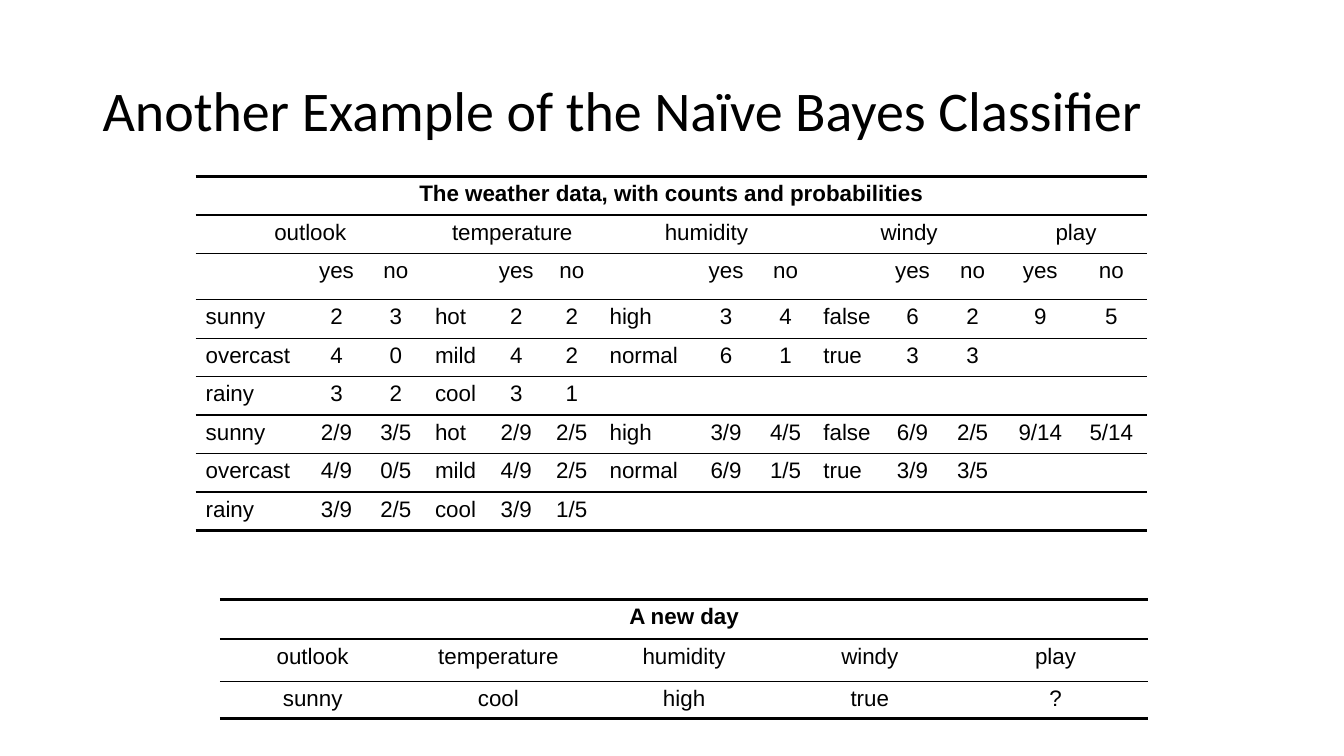
"""Build the slide with the weather tables of the naïve Bayes classifier."""
from dataclasses import dataclass

from lxml.etree import SubElement
from pptx import Presentation
from pptx.dml.color import RGBColor
from pptx.enum.text import MSO_ANCHOR, PP_ALIGN
from pptx.oxml.ns import qn
from pptx.util import Cm, Pt

COLORS = {"ink": "000000"}
INK = RGBColor.from_string(COLORS["ink"])
PLAIN_STYLE = "{2D5ABB26-0587-4C30-8999-92F81FD0307C}"
THIN, THICK = 1, 2.25
TEXT_SIZE = 16


@dataclass
class Row:
    cells: str
    height: float = 0.97
    spans: tuple = ()
    bold: bool = False
    top: float = THIN
    bottom: float = THIN


@dataclass
class Grid:
    left: float
    top: float
    widths: list
    rows: list
    label_columns: tuple = ()


def add_run(p, text: str, font: str, size: float, bold: bool = False) -> None:
    r = p.add_run()
    r.text = text
    r.font.name, r.font.size, r.font.bold = font, Pt(size), bold
    r.font.color.rgb = INK


def set_borders(cell, top: float, bottom: float) -> None:
    tc_pr = cell._tc.get_or_add_tcPr()
    for tag, width in (("lnL", 0), ("lnR", 0), ("lnT", top), ("lnB", bottom)):
        ln = SubElement(tc_pr, qn(f"a:{tag}"), w=str(int(Pt(width))))
        if width:
            fill = SubElement(ln, qn("a:solidFill"))
            SubElement(fill, qn("a:srgbClr"), val=COLORS["ink"])
        else:
            SubElement(ln, qn("a:noFill"))


def fill_cell(cell, text: str, row: Row, is_label: bool) -> None:
    set_borders(cell, row.top, row.bottom)
    cell.fill.background()
    p = cell.text_frame.paragraphs[0]
    p.alignment = PP_ALIGN.LEFT if is_label else PP_ALIGN.CENTER
    if text:
        add_run(p, text, "Arial", TEXT_SIZE, row.bold)
    else:
        SubElement(p._p, qn("a:endParaRPr"), sz=str(TEXT_SIZE * 100))


def spread(row: Row, count: int) -> list:
    """Place each cell text at the first column of its span."""
    texts = row.cells.split("|")
    if not row.spans:
        return texts + [""] * (count - len(texts))
    placed = []
    for text, span in zip(texts, row.spans):
        placed += [text] + [""] * (span - 1)
    return placed


def add_grid(s, grid: Grid) -> None:
    count = len(grid.widths)
    frame = s.shapes.add_table(
        len(grid.rows), count, Cm(grid.left), Cm(grid.top),
        Cm(sum(grid.widths)), Cm(sum(row.height for row in grid.rows)))
    table = frame.table
    table.first_row = table.horz_banding = False
    table._tbl.tblPr.find(qn("a:tableStyleId")).text = PLAIN_STYLE
    for column, width in zip(table.columns, grid.widths):
        column.width = Cm(width)
    for i, row in enumerate(grid.rows):
        table.rows[i].height = Cm(row.height)
        for j, text in enumerate(spread(row, count)):
            is_label = j in grid.label_columns and not row.spans
            fill_cell(table.cell(i, j), text, row, is_label)
        start = 0
        for span in row.spans:
            table.cell(i, start).merge(table.cell(i, start + span - 1))
            start += span


def add_title(s, text: str) -> None:
    sp = s.shapes.title
    sp.left, sp.top, sp.width, sp.height = Cm(2.33), Cm(1.01), Cm(29.21), Cm(3.68)
    tf = sp.text_frame
    tf.vertical_anchor = MSO_ANCHOR.MIDDLE
    p = tf.paragraphs[0]
    p.alignment, p.line_spacing = PP_ALIGN.LEFT, 0.9
    add_run(p, text, "Calibri", 40)


ATTRIBUTES = "outlook|temperature|humidity|windy|play"

weather = Grid(
    4.93, 4.45,
    [2.79, 1.52, 1.47, 1.6, 1.4, 1.4, 2.39, 1.6, 1.4, 1.8, 1.4, 1.63, 1.78, 1.8],
    [
        Row("The weather data, with counts and probabilities",
            spans=(14,), bold=True, top=THICK),
        Row(ATTRIBUTES, spans=(3, 3, 3, 3, 2)),
        Row("|yes|no" * 1 + "||yes|no" * 3 + "|yes|no", height=1.16),
        Row("sunny|2|3|hot|2|2|high|3|4|false|6|2|9|5"),
        Row("overcast|4|0|mild|4|2|normal|6|1|true|3|3"),
        Row("rainy|3|2|cool|3|1", bottom=THICK),
        Row("sunny|2/9|3/5|hot|2/9|2/5|high|3/9|4/5|false|6/9|2/5|9/14|5/14",
            top=THICK),
        Row("overcast|4/9|0/5|mild|4/9|2/5|normal|6/9|1/5|true|3/9|3/5"),
        Row("rainy|3/9|2/5|cool|3/9|1/5", bottom=THICK),
    ],
    label_columns=(0, 3, 6, 9),
)

new_day = Grid(
    5.54, 15.11, [4.68] * 5,
    [
        Row("A new day", height=0.99, spans=(5,), bold=True, top=THICK),
        Row(ATTRIBUTES, height=1.07),
        Row("sunny|cool|high|true|?", height=0.94, bottom=THICK),
    ],
)

prs = Presentation()
prs.slide_width, prs.slide_height = Cm(33.87), Cm(19.05)
s = prs.slides.add_slide(prs.slide_layouts[5])
add_title(s, "Another Example of the Naïve Bayes Classifier")
for grid in (weather, new_day):
    add_grid(s, grid)
prs.save("out.pptx")
